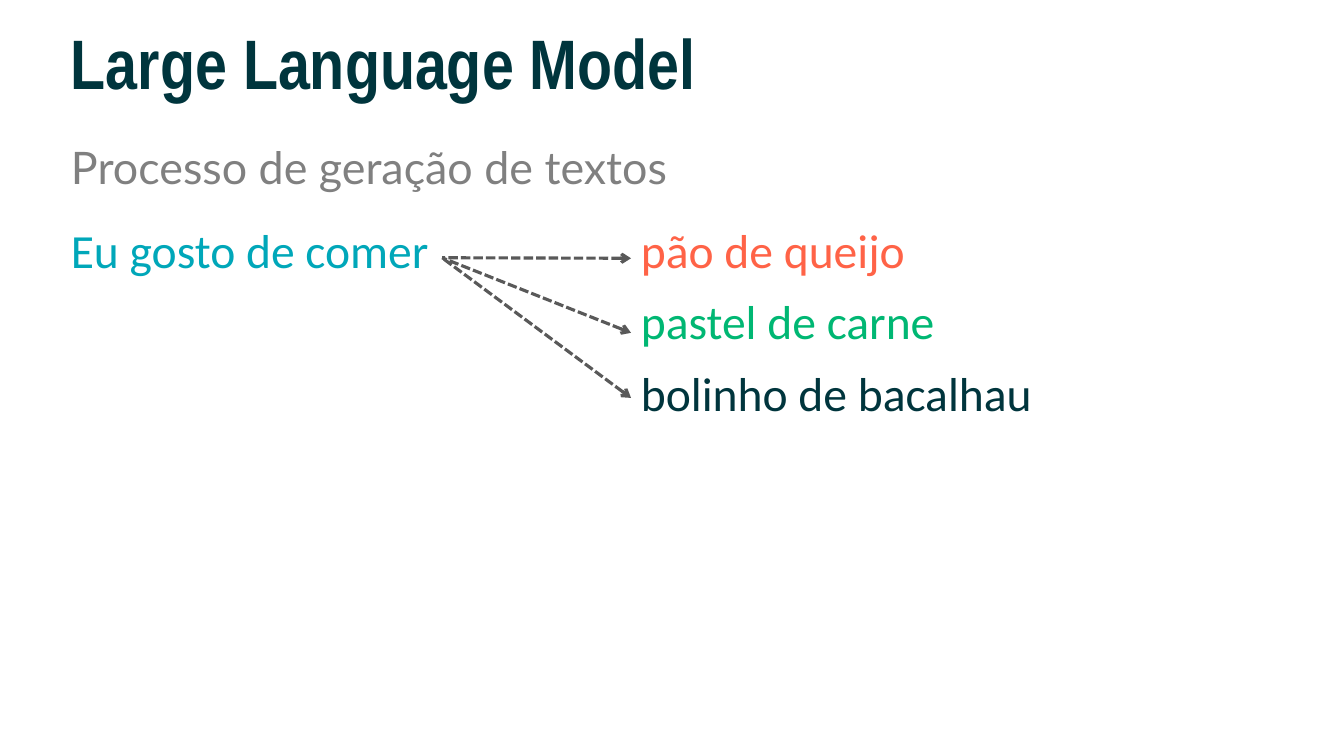
import dataclasses

import pptx
import pptx.dml.color
import pptx.enum.dml
import pptx.enum.shapes
import pptx.enum.text
import pptx.oxml.ns
import pptx.util
from lxml import etree

SCALE = 9525  # EMU per px


@dataclasses.dataclass(frozen=True)
class Theme:
    navy: str = "00353D"
    gray: str = "808080"
    teal: str = "00A7B9"
    coral: str = "FF6347"
    green: str = "00B773"
    arrow: str = "595959"
    title: int = 50
    lead: int = 32
    body: int = 34
    gap: int = 10
    stroke: float = 2.25


THEME = Theme()


def px(num):
    return pptx.util.Emu(num * SCALE)


def rgb(code):
    return pptx.dml.color.RGBColor.from_string(code)


def place(shape, left, top, width, height):
    shape.left, shape.top = px(left), px(top)
    shape.width, shape.height = px(width), px(height)


def write(shape, *lines, font="Calibri", size=THEME.body, bold=False,
          before=THEME.gap, pitch=1.0, anchor=pptx.enum.text.MSO_ANCHOR.TOP):
    """Fill a shape with one paragraph for each (text, colour) pair."""
    frame = shape.text_frame
    frame.word_wrap = True
    frame.auto_size = pptx.enum.text.MSO_AUTO_SIZE.NONE
    frame.vertical_anchor = anchor
    for num, (text, color) in enumerate(lines):
        para = frame.add_paragraph() if num else frame.paragraphs[0]
        para.alignment = pptx.enum.text.PP_ALIGN.LEFT
        para.space_before = pptx.util.Pt(before)
        para.line_spacing = pitch
        run = para.add_run()
        run.text = text
        run.font.name = font
        run.font.size = pptx.util.Pt(size)
        run.font.bold = bold
        run.font.color.rgb = rgb(color)


def add_box(slide, left, top, width, height, *lines):
    box = slide.shapes.add_textbox(px(left), px(top), px(width), px(height))
    write(box, *lines)
    return box


def add_arrow(slide, prompt, left, top):
    """Draw a dashed line from the prompt's right side, its head at left, top."""
    arrow = slide.shapes.add_connector(
        pptx.enum.shapes.MSO_CONNECTOR.STRAIGHT, px(left), px(top), px(left), px(top))
    arrow.end_connect(prompt, 3)
    arrow.line.color.rgb = rgb(THEME.arrow)
    arrow.line.width = pptx.util.Pt(THEME.stroke)
    arrow.line.dash_style = pptx.enum.dml.MSO_LINE.SQUARE_DOT
    qn = pptx.oxml.ns.qn
    etree.SubElement(arrow.line._get_or_add_ln(), qn("a:headEnd"), type="arrow")
    etree.SubElement(arrow._element.spPr, qn("a:effectLst"))


def main():
    deck = pptx.Presentation()
    deck.slide_width, deck.slide_height = px(1280), px(720)
    slide = deck.slides.add_slide(deck.slide_layouts[0])
    title, lead = slide.placeholders

    margin, row, column = 58, 206, 601
    place(title, margin, 0, 1091, 127)
    write(title, ("Large Language Model", THEME.navy), font="Arial Narrow",
          size=THEME.title, bold=True, before=0, pitch=0.9,
          anchor=pptx.enum.text.MSO_ANCHOR.MIDDLE)
    place(lead, margin, 128, 659, 79)
    write(lead, ("Processo de geração de textos", THEME.gray),
          font="Lato", size=THEME.lead)

    add_box(slide, column, row, 596, 220,
            ("pão de queijo", THEME.coral),
            ("pastel de carne", THEME.green),
            ("bolinho de bacalhau", THEME.navy))
    prompt = add_box(slide, margin, row, 363, 79,
                     ("Eu gosto de comer", THEME.teal))
    for top in (246, 317, 379):
        add_arrow(slide, prompt, column, top)

    deck.save("out.pptx")


if __name__ == "__main__":
    main()
